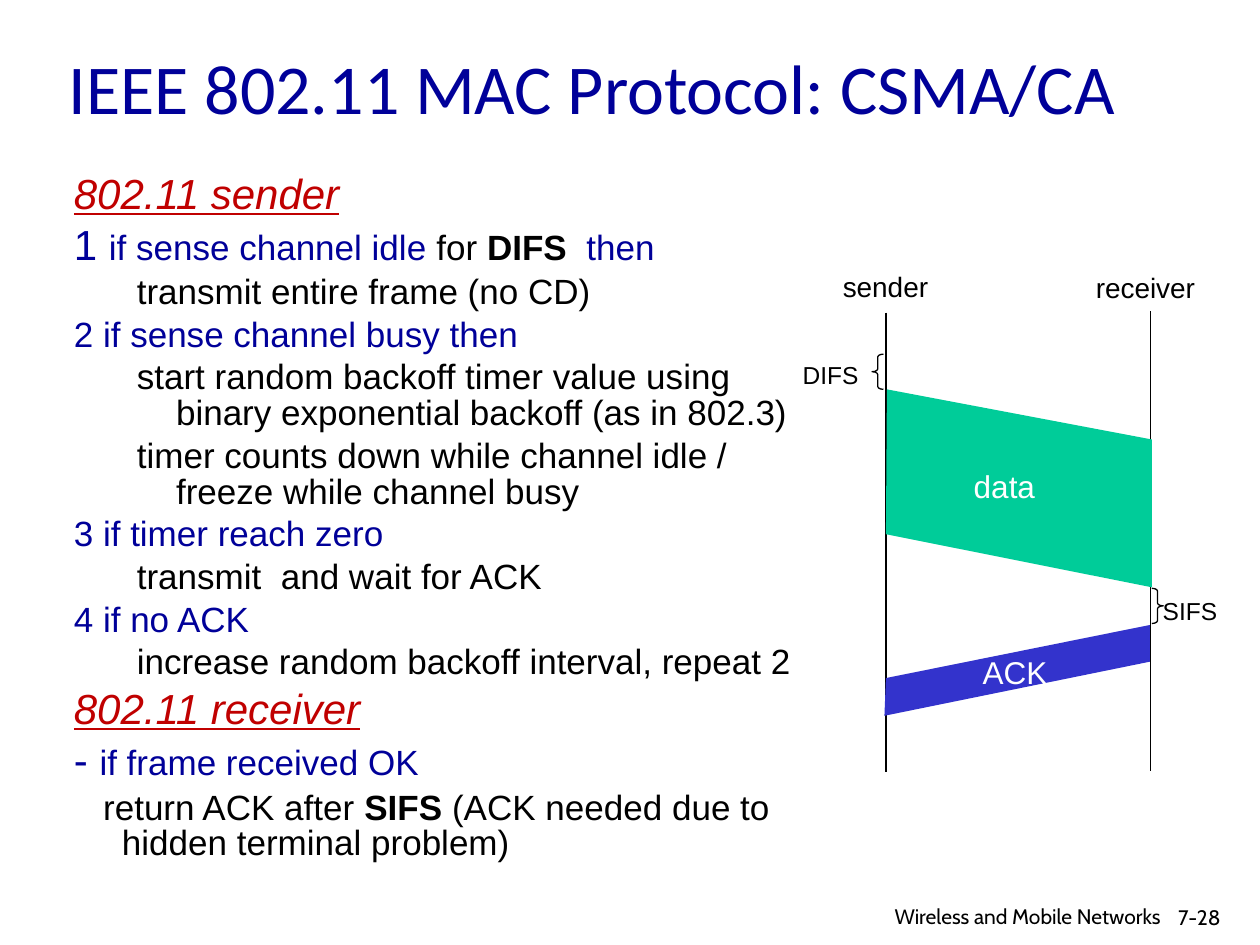
from dataclasses import dataclass

from lxml import etree
from pptx import Presentation
from pptx import util as u
from pptx.dml.color import RGBColor
from pptx.enum import shapes, text
from pptx.oxml.ns import qn


@dataclass(frozen=True)
class Theme:
    black: str = "000000"
    white: str = "FFFFFF"
    navy: str = "000099"
    red: str = "C00000"
    green: str = "00CC99"
    blue: str = "3333CC"
    body_font: str = "Arial"
    title_font: str = "Calibri"
    footer_font: str = "Cabin"
    title: int = 40
    heading: int = 24
    body: int = 20
    block: int = 18
    label: int = 16
    brace: int = 14
    footer: int = 12
    line: float = 0.75


THEME = Theme()
HEADING = dict(size=THEME.heading, color=THEME.red, italic=True, underline=True)
MARKER = dict(size=THEME.heading, color=THEME.navy)
CONDITION = dict(color=THEME.navy)
PLAIN = {}
BOLD = dict(bold=True)
FLUSH = (0.97, -0.97)
NESTED = (2.06, -0.79)
RETURN = (0.97, -0.38)

PROTOCOL = [
    (FLUSH, [("802.11 sender", HEADING)]),
    (FLUSH, [("1 ", MARKER), ("if sense channel idle", CONDITION), (" for ", PLAIN),
             ("DIFS  ", BOLD), ("then", CONDITION)]),
    (NESTED, [("transmit entire frame (no CD)", PLAIN)]),
    (FLUSH, [("2 if sense channel busy then", CONDITION)]),
    (NESTED, [("start random backoff timer value using binary exponential "
               "backoff (as in 802.3)", PLAIN)]),
    (NESTED, [("timer counts down while channel idle / freeze while channel busy", PLAIN)]),
    (FLUSH, [("3 if timer reach zero", CONDITION)]),
    (NESTED, [("transmit  and wait for ACK", PLAIN)]),
    (FLUSH, [("4 if no ACK", CONDITION)]),
    (NESTED, [("increase random backoff interval, repeat 2", PLAIN)]),
    (FLUSH, [("802.11 receiver", HEADING)]),
    (FLUSH, [("- ", MARKER), ("if frame received OK", CONDITION)]),
    (RETURN, [("return ACK after ", PLAIN), ("SIFS ", BOLD),
              ("(ACK needed due to hidden terminal problem)", PLAIN)]),
]


def lengths(values):
    return [u.Cm(value) for value in values]


class Sketch:
    def __init__(self, slide, theme):
        self.slide = slide
        self.theme = theme

    def frame(self, box, **formats):
        frame = self.slide.shapes.add_textbox(*lengths(box)).text_frame
        for name, value in {"word_wrap": True, **formats}.items():
            setattr(frame, name, value)
        return frame

    def run(self, paragraph, words, color=None, **formats):
        run = paragraph.add_run()
        run.text = words
        defaults = dict(name=self.theme.body_font, size=self.theme.body)
        for name, value in {**defaults, **formats}.items():
            setattr(run.font, name, u.Pt(value) if name == "size" else value)
        run.font.color.rgb = RGBColor.from_string(color or self.theme.black)

    def label(self, words, box, wrap=False, anchor=text.MSO_ANCHOR.TOP,
              align=text.PP_ALIGN.LEFT, **formats):
        frame = self.frame(box, word_wrap=wrap, vertical_anchor=anchor)
        frame.paragraphs[0].alignment = align
        self.run(frame.paragraphs[0], words, **formats)

    def outline(self, items, box):
        frame = self.frame(box)
        for index, ((margin, indent), runs) in enumerate(items):
            paragraph = frame.add_paragraph() if index else frame.paragraphs[0]
            size = runs[0][1].get("size", self.theme.body)
            formats = dict(line_spacing=0.85, space_before=u.Pt(size * 0.2))
            for name, value in formats.items():
                setattr(paragraph, name, value)
            properties = paragraph._p.get_or_add_pPr()
            for name, value in dict(marL=margin, indent=indent).items():
                properties.set(name, str(u.Cm(value)))
            for words, style in runs:
                self.run(paragraph, words, **style)

    def stroke(self, line):
        line.color.rgb = RGBColor.from_string(self.theme.black)
        line.width = u.Pt(self.theme.line)

    def timeline(self, x, top, bottom):
        connector = self.slide.shapes.add_connector(
            shapes.MSO_CONNECTOR.STRAIGHT, *lengths((x, top, x, bottom)))
        self.stroke(connector.line)
        etree.SubElement(connector._element.spPr, qn("a:effectLst"))

    def brace(self, kind, box):
        shape = self.slide.shapes.add_shape(kind, *lengths(box))
        shape.shadow.inherit = False
        shape.adjustments[0] = 0.25
        shape.fill.background()
        self.stroke(shape.line)

    def block(self, color, points):
        start, *rest = [lengths(point) for point in points]
        builder = self.slide.shapes.build_freeform(*start)
        builder.add_line_segments(rest, close=True)
        shape = builder.convert_to_shape()
        shape.shadow.inherit = False
        shape.fill.solid()
        shape.fill.fore_color.rgb = RGBColor.from_string(color)
        shape.line.fill.background()


def main():
    presentation = Presentation()
    presentation.slide_width, presentation.slide_height = lengths((25.4, 19.05))
    slide = presentation.slides.add_slide(presentation.slide_layouts[6])
    sketch = Sketch(slide, THEME)

    sketch.label("IEEE 802.11 MAC Protocol: CSMA/CA", (1.14, 0.43, 22.83, 2.64),
                 wrap=True, anchor=text.MSO_ANCHOR.MIDDLE, name=THEME.title_font,
                 size=THEME.title, color=THEME.navy)
    sketch.outline(PROTOCOL, (1.24, 3.4, 15.65, 13.77))

    sketch.timeline(17.86, 6.3, 15.57)
    sketch.timeline(23.19, 6.27, 15.54)
    sketch.label("sender", (16.74, 5.31, 2.31, 0.94), size=THEME.label)
    sketch.label("receiver", (21.84, 5.33, 2.54, 0.94), size=THEME.label)

    sketch.brace(shapes.MSO_SHAPE.LEFT_BRACE, (17.58, 7.14, 0.23, 0.71))
    sketch.label("DIFS", (15.93, 7.14, 1.65, 0.86), size=THEME.brace)
    sketch.block(THEME.green, [(17.88, 7.85), (23.22, 8.86), (23.22, 11.84), (17.86, 10.77)])
    sketch.label("data", (19.38, 9.3, 1.75, 1.02), size=THEME.block, color=THEME.white)

    sketch.label("SIFS", (23.19, 11.89, 1.63, 0.86), size=THEME.brace)
    sketch.brace(shapes.MSO_SHAPE.RIGHT_BRACE, (23.22, 11.86, 0.23, 0.71))
    sketch.block(THEME.blue, [(17.83, 14.43), (23.18, 13.34), (23.18, 12.6), (17.86, 13.67)])
    sketch.label("ACK", (19.56, 13.03, 1.83, 1.02), size=THEME.block, color=THEME.white)

    footer = dict(wrap=True, name=THEME.footer_font, size=THEME.footer)
    sketch.label("7-28", (23.5, 18.11, 1.9, 0.76), **footer)
    sketch.label("Wireless and Mobile Networks ", (16.26, 18.08, 7.49, 0.71),
                 align=text.PP_ALIGN.RIGHT, **footer)
    presentation.save("out.pptx")


if __name__ == "__main__":
    main()
